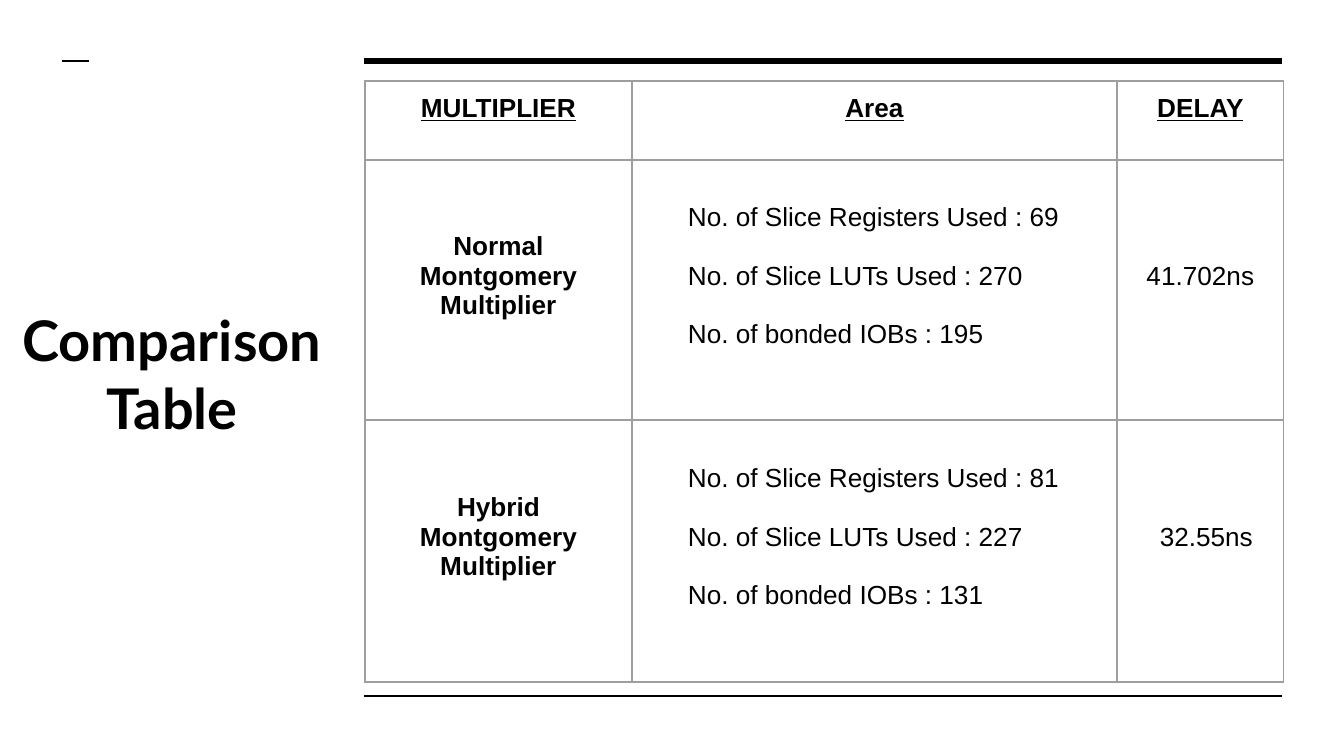
import dataclasses

import lxml.etree
import pptx
import pptx.dml.color
import pptx.enum.shapes
import pptx.enum.text
import pptx.oxml.ns
import pptx.util

PX_PER_INCH = 134.4
CENTER = pptx.enum.text.PP_ALIGN.CENTER
LEFT = pptx.enum.text.PP_ALIGN.LEFT
TOP = pptx.enum.text.MSO_ANCHOR.TOP
MIDDLE = pptx.enum.text.MSO_ANCHOR.MIDDLE


@dataclasses.dataclass(frozen=True)
class Theme:
    ink: str = "000000"
    grid: str = "9E9E9E"
    title_font: str = "Lato"
    table_font: str = "Arial"
    title_size: int = 30
    table_size: int = 14
    grid_width: float = 0.75


@dataclasses.dataclass(frozen=True)
class Rule:
    left: int
    right: int
    y: int
    weight: float


@dataclasses.dataclass(frozen=True)
class Entry:
    lines: tuple[str, ...]
    bold: bool = False
    underline: bool = False
    align: int = CENTER
    anchor: int = MIDDLE
    indent: int = 0
    lift: int = 28


THEME = Theme()
INSET = 13
LINE_GAP = 29
RULES = (
    Rule(364, 1282, 61, 3),
    Rule(364, 1282, 696, 1.5),
    Rule(62, 89, 61, 1.5),
)
COLUMN_WIDTHS = (267, 485, 167)
ROW_HEIGHTS = (79, 260, 262)


def px(length: int) -> pptx.util.Emu:
    return pptx.util.Emu(round(length * 914400 / PX_PER_INCH))


def heading(label: str) -> Entry:
    return Entry((label,), bold=True, underline=True, anchor=TOP, lift=0)


def multiplier_row(kind: str, registers: int, luts: int, iobs: int,
                   delay: str, delay_indent: int) -> tuple[Entry, ...]:
    usage = (
        f"No. of Slice Registers Used : {registers}",
        f"No. of Slice LUTs Used : {luts}",
        f"No. of bonded IOBs : {iobs}",
    )
    return (
        Entry((f"{kind} Montgomery Multiplier",), bold=True),
        Entry(usage, align=LEFT, indent=43),
        Entry((delay,), indent=delay_indent),
    )


COMPARISON = (
    tuple(heading(label) for label in ("MULTIPLIER", "Area", "DELAY")),
    multiplier_row("Normal", 69, 270, 195, "41.702ns", 0),
    multiplier_row("Hybrid", 81, 227, 131, "32.55ns", 12),
)


def apply(target, values: dict) -> None:
    for name, value in values.items():
        setattr(target, name, value)


def format_font(font, name: str, size: int, bold: bool, underline: bool = False) -> None:
    apply(font, {"name": name, "size": pptx.util.Pt(size),
                 "bold": bold, "underline": underline})
    font.color.rgb = pptx.dml.color.RGBColor.from_string(THEME.ink)


def draw_rule(slide, rule: Rule) -> None:
    stroke = slide.shapes.add_connector(
        pptx.enum.shapes.MSO_CONNECTOR.STRAIGHT,
        px(rule.left), px(rule.y), px(rule.right), px(rule.y))
    stroke.line.width = pptx.util.Pt(rule.weight)
    stroke.line.color.rgb = pptx.dml.color.RGBColor.from_string(THEME.ink)
    lxml.etree.SubElement(stroke._element.spPr, pptx.oxml.ns.qn("a:effectLst"))


def draw_borders(cell) -> None:
    qn = pptx.oxml.ns.qn
    properties = cell._tc.get_or_add_tcPr()
    for side in ("a:lnL", "a:lnR", "a:lnT", "a:lnB"):
        edge = lxml.etree.SubElement(
            properties, qn(side), w=str(pptx.util.Pt(THEME.grid_width)))
        fill = lxml.etree.SubElement(edge, qn("a:solidFill"))
        lxml.etree.SubElement(fill, qn("a:srgbClr"), val=THEME.grid)


def fill_cell(cell, entry: Entry) -> None:
    draw_borders(cell)
    cell.fill.background()
    apply(cell, {
        "margin_left": px(INSET + entry.indent),
        "margin_right": px(INSET),
        "margin_top": px(INSET),
        "margin_bottom": px(INSET + entry.lift),
        "vertical_anchor": entry.anchor,
    })
    frame = cell.text_frame
    frame.text = "\n".join(entry.lines)
    for position, paragraph in enumerate(frame.paragraphs):
        paragraph.alignment = entry.align
        if position:
            paragraph.space_before = px(LINE_GAP)
        format_font(paragraph.runs[0].font, THEME.table_font, THEME.table_size,
                    entry.bold, entry.underline)


def draw_title(slide, text: str) -> None:
    title = slide.shapes.title
    apply(title, {"left": px(0), "top": px(293), "width": px(344), "height": px(429)})
    frame = title.text_frame
    frame.text = text
    apply(frame, {
        "word_wrap": True,
        "auto_size": pptx.enum.text.MSO_AUTO_SIZE.NONE,
        "vertical_anchor": TOP,
        "margin_left": px(INSET), "margin_right": px(INSET),
        "margin_top": px(INSET), "margin_bottom": px(INSET),
    })
    paragraph = frame.paragraphs[0]
    paragraph.alignment = CENTER
    format_font(paragraph.runs[0].font, THEME.title_font, THEME.title_size, True)


def draw_comparison(slide) -> None:
    table = slide.shapes.add_table(
        len(ROW_HEIGHTS), len(COLUMN_WIDTHS), px(365), px(81),
        px(sum(COLUMN_WIDTHS)), px(sum(ROW_HEIGHTS))).table
    apply(table, {"first_row": False, "horz_banding": False})
    for column, width in zip(table.columns, COLUMN_WIDTHS):
        column.width = px(width)
    for row, height, entries in zip(table.rows, ROW_HEIGHTS, COMPARISON):
        row.height = px(height)
        for cell, entry in zip(row.cells, entries):
            fill_cell(cell, entry)


def main() -> None:
    deck = pptx.Presentation()
    apply(deck, {"slide_width": px(1344), "slide_height": px(756)})
    slide = deck.slides.add_slide(deck.slide_layouts[5])
    for rule in RULES:
        draw_rule(slide, rule)
    draw_comparison(slide)
    draw_title(slide, "Comparison Table")
    deck.save("out.pptx")


if __name__ == "__main__":
    main()
